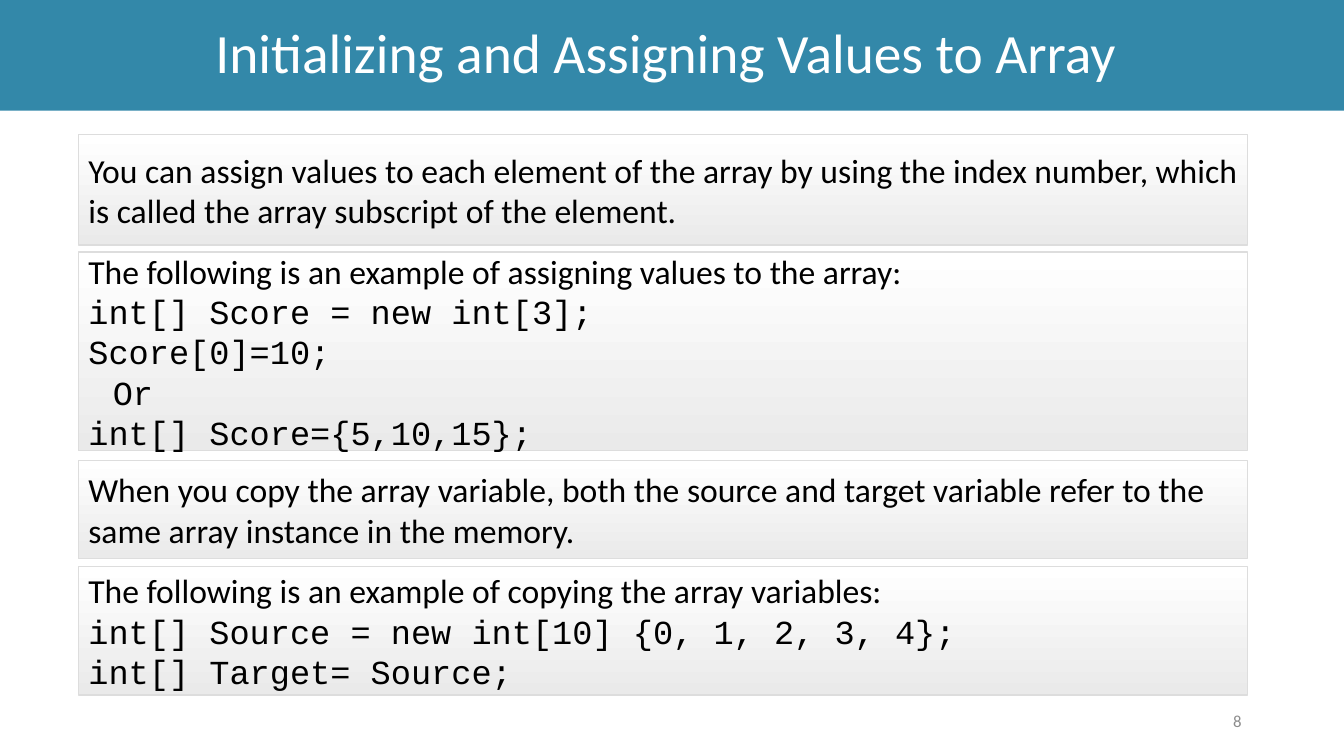
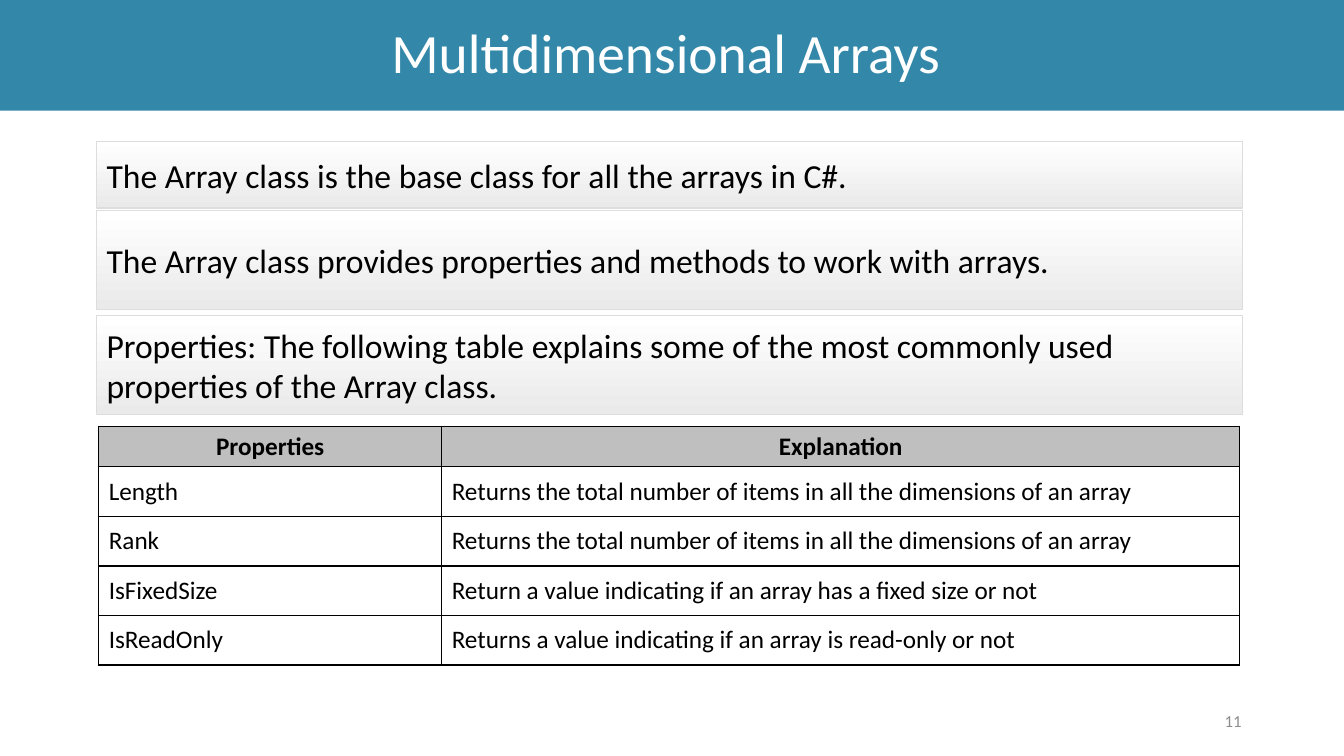
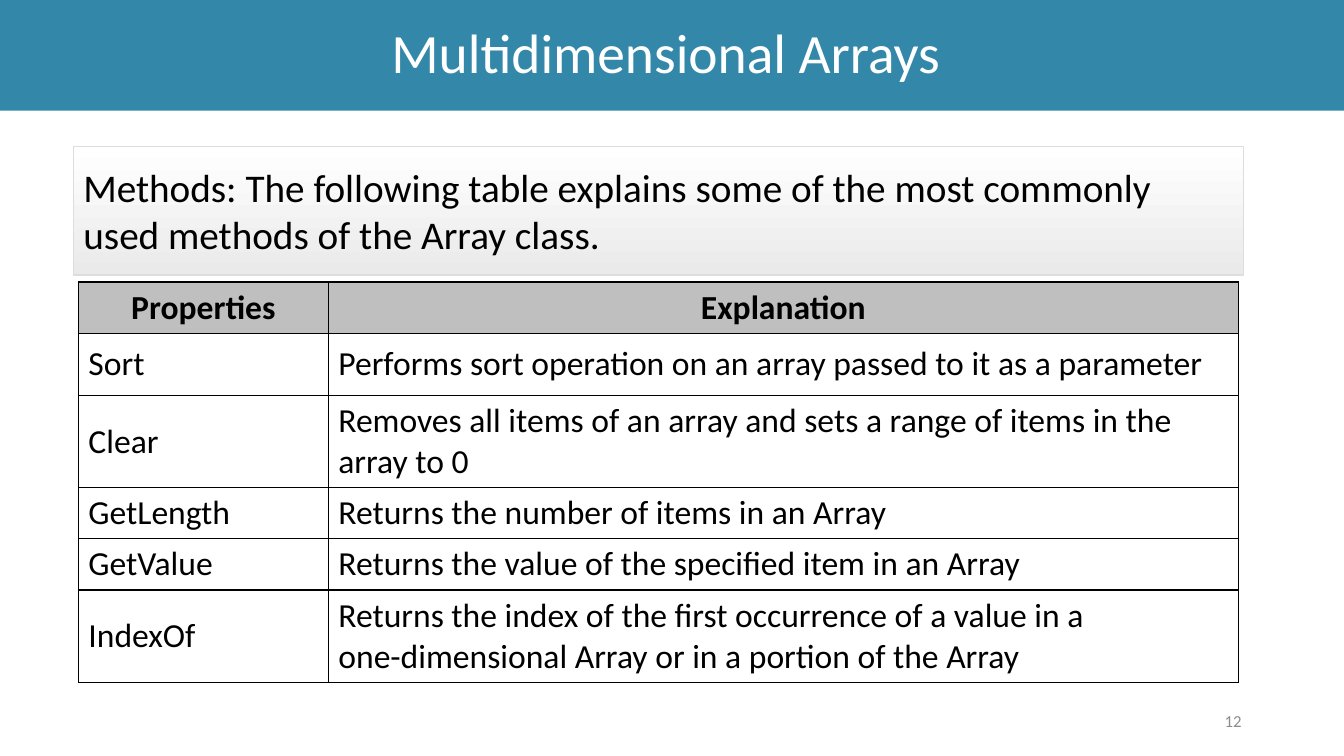
from dataclasses import dataclass

from lxml.etree import SubElement
from pptx import Presentation
from pptx.dml.color import RGBColor
from pptx.enum.shapes import MSO_SHAPE
from pptx.enum.text import MSO_ANCHOR, MSO_AUTO_SIZE, PP_ALIGN
from pptx.oxml.ns import qn
from pptx.util import Pt


@dataclass(frozen=True)
class Theme:
    """Colours, fonts and type sizes shared by all slides."""

    band: str = "3388A9"
    paper: str = "FFFFFF"
    ink: str = "000000"
    shade: str = "EAEAEA"
    outline: str = "DDDDDD"
    header: str = "BFBFBF"
    muted: str = "8C8C8C"
    text_font: str = "Calibri"
    code_font: str = "Courier New"
    title_size: float = 39.6
    lead_size: float = 28
    body_size: float = 24
    small_size: float = 18
    number_size: float = 12


class Lesson:
    """Holds the theme, the deck and the current slide."""

    width, height = 960, 540
    band_height = 79

    def __init__(self, theme):
        """Start an empty widescreen deck."""
        self.theme = theme
        self.deck = Presentation()
        self.deck.slide_width = Pt(self.width)
        self.deck.slide_height = Pt(self.height)
        self.page = None

    def format(self, para, size, color, font=None, bold=False):
        """Style every run of a paragraph."""
        for span in para.runs:
            span.font.name = font or self.theme.text_font
            span.font.size = Pt(size)
            span.font.bold = bold
            span.font.color.rgb = RGBColor.from_string(color)

    def start(self, title, number):
        """Add a slide with its title band and slide number."""
        layout = self.deck.slide_layouts.get_by_name("Title Only")
        self.page = self.deck.slides.add_slide(layout)
        band = self.page.shapes.title
        band.left, band.top = Pt(0), Pt(0)
        band.width, band.height = Pt(self.width), Pt(self.band_height)
        band.fill.solid()
        band.fill.fore_color.rgb = RGBColor.from_string(self.theme.band)
        frame = band.text_frame
        frame.text = title
        frame.auto_size = MSO_AUTO_SIZE.NONE
        frame.vertical_anchor = MSO_ANCHOR.MIDDLE
        frame.margin_right = Pt(16)
        para = frame.paragraphs[0]
        para.alignment = PP_ALIGN.CENTER
        para.line_spacing = 0.9
        self.format(para, self.theme.title_size, self.theme.paper)
        self.slide_number(number)

    def slide_number(self, number):
        """Write the slide number at the lower right."""
        box = self.page.shapes.add_textbox(Pt(678), Pt(500.5), Pt(216), Pt(28.5))
        frame = box.text_frame
        frame.word_wrap = True
        frame.vertical_anchor = MSO_ANCHOR.MIDDLE
        frame.text = str(number)
        para = frame.paragraphs[0]
        para.alignment = PP_ALIGN.RIGHT
        self.format(para, self.theme.number_size, self.theme.muted)

    def panel(self, left, top, width, height, text, code=(), indented=(), size=None):
        """Add a shaded panel with a sentence and optional code lines."""
        box = self.page.shapes.add_shape(
            MSO_SHAPE.RECTANGLE, Pt(left), Pt(top), Pt(width), Pt(height))
        box.shadow.inherit = False
        box.fill.gradient()
        box.fill.gradient_angle = 270
        for stop, color in zip(box.fill.gradient_stops, (self.theme.paper, self.theme.shade)):
            stop.color.rgb = RGBColor.from_string(color)
        box.line.color.rgb = RGBColor.from_string(self.theme.outline)
        box.line.width = Pt(1)
        frame = box.text_frame
        frame.word_wrap = True
        frame.vertical_anchor = MSO_ANCHOR.MIDDLE
        frame.text = "\n".join([text, *code])
        for index, para in enumerate(frame.paragraphs):
            para.alignment = PP_ALIGN.LEFT
            font = self.theme.code_font if index else self.theme.text_font
            self.format(para, size or self.theme.body_size, self.theme.ink, font)
            if para.text in indented:
                para._p.get_or_add_pPr().set("marL", str(Pt(17.5)))

    def border(self, cell):
        """Draw a thin line on all four sides of a cell."""
        properties = cell._tc.get_or_add_tcPr()
        for index, side in enumerate(("a:lnL", "a:lnR", "a:lnT", "a:lnB")):
            line = SubElement(properties, qn(side), w=str(Pt(1)))
            properties.insert(index, line)
            fill = SubElement(line, qn("a:solidFill"))
            SubElement(fill, qn("a:srgbClr"), val=self.theme.ink)

    def table(self, left, top, columns, heights, rows, size):
        """Add a ruled table whose first row is the header."""
        grid = self.page.shapes.add_table(
            len(rows), len(columns), Pt(left), Pt(top),
            Pt(sum(columns)), Pt(sum(heights))).table
        grid.horz_banding = False
        for column, width in zip(grid.columns, columns):
            column.width = Pt(width)
        for index, (row, height, texts) in enumerate(zip(grid.rows, heights, rows)):
            row.height = Pt(height)
            is_header = index == 0
            for cell, text in zip(row.cells, texts):
                cell.text_frame.text = text
                cell.vertical_anchor = MSO_ANCHOR.MIDDLE
                cell.fill.solid()
                cell.fill.fore_color.rgb = RGBColor.from_string(
                    self.theme.header if is_header else self.theme.paper)
                para = cell.text_frame.paragraphs[0]
                para.alignment = PP_ALIGN.CENTER if is_header else PP_ALIGN.LEFT
                self.format(para, size, self.theme.ink, bold=is_header)
                self.border(cell)


def assigning_values(lesson):
    """Build the slide on initializing and assigning arrays."""
    lesson.start("Initializing and Assigning Values to Array", 8)
    left, width = 56, 835
    lesson.panel(left, 96, width, 79,
                 "You can assign values to each element of the array by using the index "
                 "number, which is called the array subscript of the element.")
    lesson.panel(left, 180, width, 142,
                 "The following is an example of assigning values to the array:",
                 code=["int[] Score = new int[3];", "Score[0]=10;", "Or",
                       "int[] Score={5,10,15};"],
                 indented=["Or"])
    lesson.panel(left, 329, width, 70,
                 "When you copy the array variable, both the source and target variable "
                 "refer to the same array instance in the memory.")
    lesson.panel(left, 404.5, width, 92,
                 "The following is an example of copying the array variables:",
                 code=["int[] Source = new int[10] {0, 1, 2, 3, 4};",
                       "int[] Target= Source;"])


def array_properties(lesson):
    """Build the slide on the properties of the Array class."""
    lesson.start("Multidimensional Arrays", 11)
    panels = [
        (101, 47.5, "The Array class is the base class for all the arrays in C#."),
        (150.5, 70.5, "The Array class provides properties and methods to work with arrays."),
        (225.5, 70.5, "Properties: The following table explains some of the most commonly "
                      "used properties of the Array class."),
    ]
    for top, height, text in panels:
        lesson.panel(69, top, 818.5, height, text)
    total = "Returns the total number of items in all the dimensions of an array"
    rows = [
        ("Properties", "Explanation"),
        ("Length", total),
        ("Rank", total),
        ("IsFixedSize", "Return a value indicating if an array has a fixed size or not"),
        ("IsReadOnly", "Returns a value indicating if an array is read-only or not"),
    ]
    lesson.table(70.5, 304.5, [245, 570], [29] + [35.4] * 4, rows, lesson.theme.small_size)


def array_methods(lesson):
    """Build the slide on the methods of the Array class."""
    lesson.start("Multidimensional Arrays", 12)
    lesson.panel(52.5, 104.5, 836, 92,
                 "Methods: The following table explains some of the most commonly used "
                 "methods of the Array class.", size=lesson.theme.lead_size)
    rows = [
        ("Properties", "Explanation"),
        ("Sort", "Performs sort operation on an array passed to it as a parameter"),
        ("Clear", "Removes all items of an array and sets a range of items in the array to 0"),
        ("GetLength", "Returns the number of items in an Array"),
        ("GetValue", "Returns the value of the specified item in an Array"),
        ("IndexOf", "Returns the index of the first occurrence of a value in a\v"
                    "one-dimensional Array or in a portion of the Array"),
    ]
    single, double = 36.5, 66
    heights = [single, 44.5, double, single, single, double]
    lesson.table(56, 201.5, [178.5, 650], heights, rows, lesson.theme.body_size)


def main():
    """Build all slides and save the deck."""
    lesson = Lesson(Theme())
    for build in (assigning_values, array_properties, array_methods):
        build(lesson)
    lesson.deck.save("out.pptx")


main()
